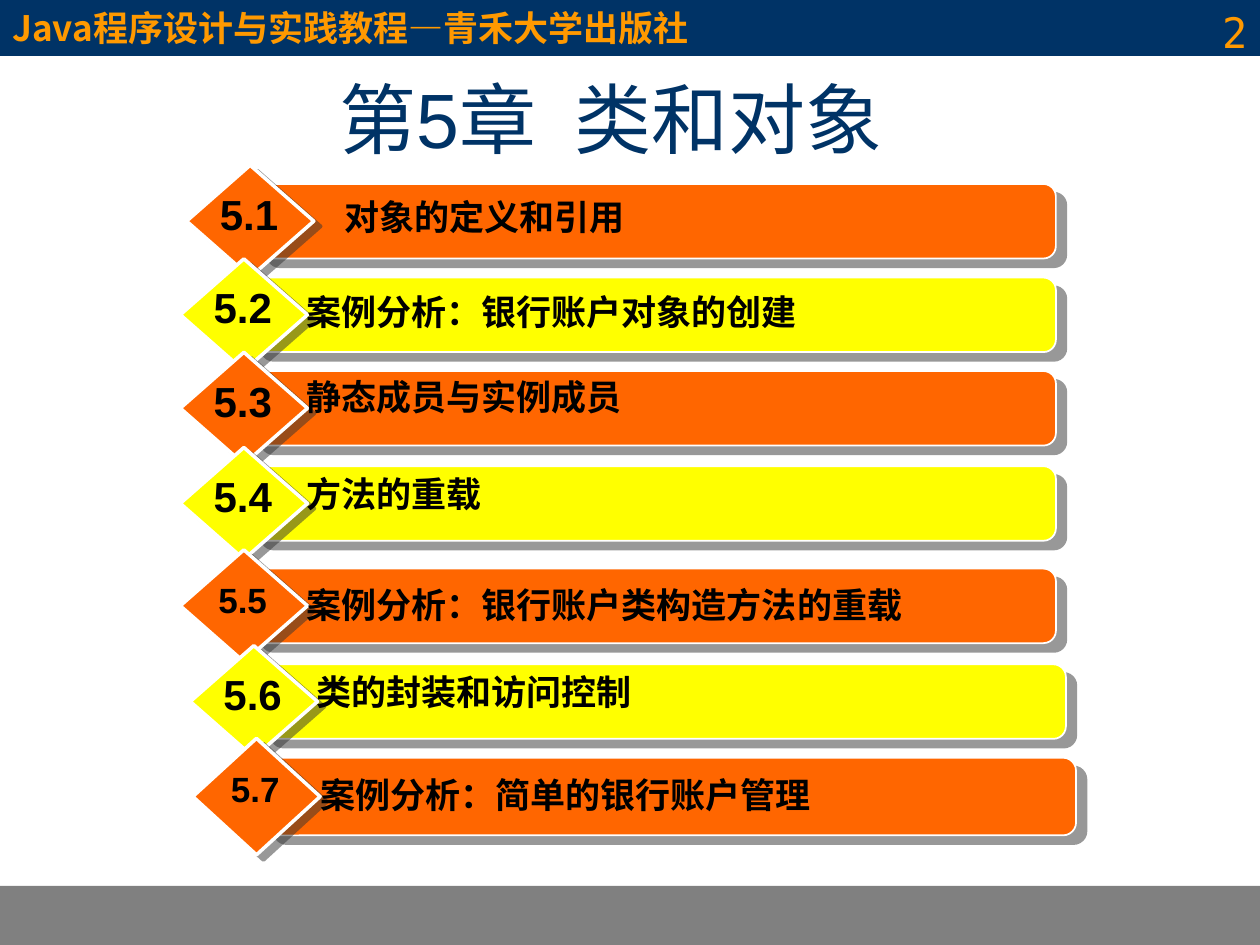
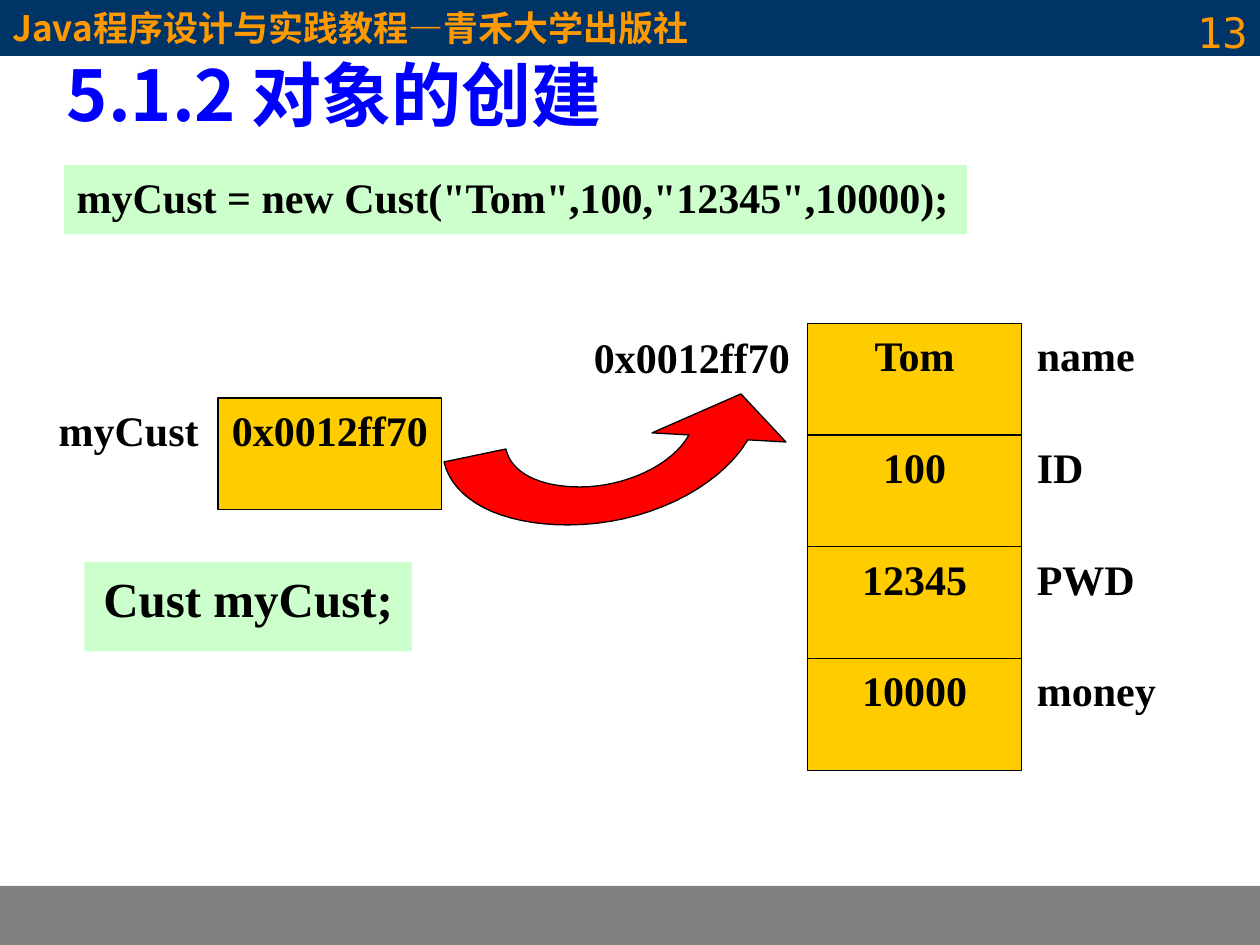
import pptx
import pptx.util
import pptx.dml.color
import pptx.enum.shapes
import pptx.enum.text
import lxml.etree

Pt = pptx.util.Pt
RGBColor = pptx.dml.color.RGBColor
SHAPE = pptx.enum.shapes.MSO_SHAPE
ALIGN = pptx.enum.text.PP_ALIGN
ANCHOR = pptx.enum.text.MSO_ANCHOR
DRAWING_NS = "http://schemas.openxmlformats.org/drawingml/2006/main"

NAVY = RGBColor(0x00, 0x33, 0x66)
GRAY = RGBColor(0x80, 0x80, 0x80)
AMBER = RGBColor(0xFF, 0x99, 0x00)
ORANGE = RGBColor(0xFF, 0x66, 0x00)
YELLOW = RGBColor(0xFF, 0xFF, 0x00)
GOLD = RGBColor(0xFF, 0xCC, 0x00)
MINT = RGBColor(0xCC, 0xFF, 0xCC)
RED = RGBColor(0xFF, 0x00, 0x00)
BLUE = RGBColor(0x00, 0x00, 0xFF)
BLACK = RGBColor(0x00, 0x00, 0x00)
WHITE = RGBColor(0xFF, 0xFF, 0xFF)

SANS = "Arial"
CJK = "Noto Sans CJK SC"
SERIF = "Times New Roman"
MONO = "DejaVu Sans Mono"

BOOK = "Java程序设计与实践教程—青禾大学出版社"
CHAPTER_TITLE = ["第5章", " ", "类和对象"]
SECTION_TITLE = ["5.1.2 对象的创建"]

# number, label, number size, left, top, bar right, bar height, label left, label drop
SECTIONS = [
    ("5.1", "对象的定义和引用", 24, 106.6, 105.1, 603.4, 42.6, 196.6, 2.9),
    ("5.2", "案例分析：银行账户对象的创建", 24, 103, 158.6, 603.4, 42.6, 175, 3.6),
    ("5.3", "静态成员与实例成员", 24, 103, 212, 603.4, 42.6, 175, -1),
    ("5.4", "方法的重载", 24, 103, 266.4, 603.4, 42.6, 175, 0),
    ("5.5", "案例分析：银行账户类构造方法的重载", 20, 103, 324.9, 603.4, 42.6, 175, 5),
    ("5.6", "类的封装和访问控制", 24, 108.7, 379.6, 609.1, 42.6, 180.7, 0),
    ("5.7", "案例分析：简单的银行账户管理", 20, 110.2, 433, 614.9, 44.4, 182.9, 5.5),
]

FIELDS = [("Tom", "name"), ("100", "ID"), ("12345", "PWD"), ("10000", "money")]
ADDRESS = "0x0012ff70"
STATEMENTS = [
    ("Cust myCust;", 28, ALIGN.CENTER, (48.2, 321.1, 187.2, 51.1)),
    ('myCust = new Cust("Tom",100,"12345",10000);', 24, ALIGN.LEFT, (36.7, 94.3, 515.9, 39.6)),
]
CELL_HEIGHT = 63.9

ARROW_INNER = [
    [(393.7, 248.6), (384, 266), (357, 278.3), (331.4, 278.3)],
    [(331.4, 278.3), (308, 278.3), (292, 270), (289.1, 256.6)],
]
ARROW_OUTER = [
    [(253.7, 264), (259, 286), (286, 300), (324.6, 300)],
    [(324.6, 300), (368, 300), (410, 280), (427.4, 251.4)],
]
ARROW_HEAD = [(449.1, 252.6), (423.4, 225.1), (372.6, 247.4)]


def write(shape, runs, size, font, color=BLACK, bold=True, align=ALIGN.LEFT,
          anchor=ANCHOR.TOP, left=7.2, top=3.6):
    tf = shape.text_frame
    tf.word_wrap = True
    tf.auto_size = pptx.enum.text.MSO_AUTO_SIZE.NONE
    tf.vertical_anchor = anchor
    tf.margin_left, tf.margin_right = Pt(left), Pt(7.2)
    tf.margin_top, tf.margin_bottom = Pt(top), Pt(3.6)
    p = tf.paragraphs[0]
    p.alignment = align
    for text in runs:
        r = p.add_run()
        r.text = text
        r.font.size, r.font.name, r.font.bold = Pt(size), font, bold
        r.font.color.rgb = color
        ea = lxml.etree.SubElement(r.font.fill._xPr, f"{{{DRAWING_NS}}}ea")
        ea.set("typeface", CJK)
    return p


def paint(shape, fill, line=None, width=0.75):
    shape.shadow.inherit = False
    shape.fill.solid()
    shape.fill.fore_color.rgb = fill
    if line is None:
        shape.line.fill.background()
    else:
        shape.line.color.rgb = line
        shape.line.width = Pt(width)


def add_shape(shapes, kind, box, fill, line=None, width=0.75):
    sp = shapes.add_shape(kind, *map(Pt, box))
    paint(sp, fill, line, width)
    return sp


def add_text(shapes, box, text, size, font, **style):
    sp = shapes.add_textbox(*map(Pt, box))
    write(sp, [text], size, font, **style)


def add_box(shapes, box, text, fill, line=None, size=24, align=ALIGN.CENTER):
    sp = add_shape(shapes, SHAPE.RECTANGLE, box, fill, line)
    write(sp, [text], size, SERIF, align=align)


def cast_shadow(shape, distance, degrees):
    effects = shape.element.spPr.find(f"{{{DRAWING_NS}}}effectLst")
    effects.append(lxml.etree.fromstring(
        f'<a:outerShdw xmlns:a="{DRAWING_NS}" blurRad="0" dist="{Pt(distance)}" '
        f'dir="{degrees * 60000}" algn="ctr" rotWithShape="0">'
        '<a:srgbClr val="333333"><a:alpha val="50000"/></a:srgbClr></a:outerShdw>'))


def add_bands(layout, s):
    for ph in list(layout.placeholders):
        if ph.placeholder_format.type != pptx.enum.shapes.PP_PLACEHOLDER.TITLE:
            ph.element.getparent().remove(ph.element)
    footer = add_shape(s.shapes, SHAPE.RECTANGLE, (0, 506.2, 720, 33.8), GRAY)
    header = add_shape(s.shapes, SHAPE.RECTANGLE, (0, 0, 720, 31.7), NAVY, NAVY)
    write(header, [BOOK], 20, CJK, AMBER, anchor=ANCHOR.MIDDLE)
    for band in (footer, header):
        layout.shapes.element.append(band.element)


def set_title(s, box, runs, size, font, color, **style):
    title = s.shapes.title
    title.left, title.top, title.width, title.height = map(Pt, box)
    return write(title, runs, size, font, color, **style)


def add_page_number(s, number):
    add_text(s.shapes, (552.2, 0, 167.8, 37.4), number, 24, MONO,
             color=AMBER, bold=False, align=ALIGN.RIGHT)


def add_section(s, index, section):
    number, label, size, left, top, right, height, label_left, drop = section
    color = YELLOW if index % 2 else ORANGE
    shapes = s.shapes.add_group_shape().shapes
    bar_left = left + 40.3
    bar = add_shape(shapes, SHAPE.ROUNDED_RECTANGLE,
                    (bar_left, top, right - bar_left, height), color, WHITE, 1)
    cast_shadow(bar, 7.8, 40)
    diamond = add_shape(shapes, SHAPE.DIAMOND,
                        (left, top - height / 4, 72.7, height * 1.5), color, WHITE, 2)
    cast_shadow(diamond, 5, 37)
    add_text(shapes, (label_left, top + drop, 400, 31.7), label, 20, SANS, left=0)
    number_height = size * 1.5
    add_text(shapes, (left + 8, top + 17 - number_height / 2, 55.4, number_height),
             number, size, SANS, align=ALIGN.CENTER)


def bezier(points, steps=16):
    a, b, c, d = points
    for i in range(1, steps + 1):
        t = i / steps
        u = 1 - t
        yield tuple(u**3 * a[k] + 3 * u * u * t * b[k] + 3 * u * t * t * c[k] + t**3 * d[k]
                    for k in (0, 1))


def add_arrow(s):
    inner = [point for curve in ARROW_INNER for point in bezier(curve)]
    outer = [point for curve in ARROW_OUTER for point in bezier(curve)]
    outline = inner + [ARROW_OUTER[0][0]] + outer + ARROW_HEAD
    start = ARROW_INNER[0][0]
    builder = s.shapes.build_freeform(Pt(start[0]), Pt(start[1]))
    builder.add_line_segments([(Pt(x), Pt(y)) for x, y in outline], close=True)
    paint(builder.convert_to_shape(), RED, BLACK)


def build_contents(s):
    p = set_title(s, (25.2, 31.7, 648, 70.6), CHAPTER_TITLE, 44, SANS, NAVY,
                  bold=False, align=ALIGN.CENTER, anchor=ANCHOR.MIDDLE)
    p.runs[1].font.fill._xPr.set("spc", "1200")
    for index, section in enumerate(SECTIONS):
        add_section(s, index, section)
    add_page_number(s, "2")


def build_creation(s):
    set_title(s, (31, 25.9, 612, 54), SECTION_TITLE, 40, CJK, BLUE)
    for text, size, align, box in STATEMENTS:
        add_box(s.shapes, box, text, MINT, size=size, align=align)
    add_box(s.shapes, (124.6, 227.5, 127.8, CELL_HEIGHT), ADDRESS, GOLD, BLACK)
    add_box(s.shapes, (23, 227.5, 101, CELL_HEIGHT), "myCust", WHITE)
    add_arrow(s)
    shapes = s.shapes.add_group_shape().shapes
    for i, (value, name) in enumerate(FIELDS):
        top = 184.7 + i * CELL_HEIGHT
        add_box(shapes, (461.5, top, 122.4, CELL_HEIGHT), value, GOLD, BLACK)
        add_box(shapes, (585.4, top, 103.7, CELL_HEIGHT), name, WHITE, align=ALIGN.LEFT)
    add_text(shapes, (337.7, 189.4, 122.4, 41.8), ADDRESS, 24, SERIF,
             align=ALIGN.CENTER, left=0, top=0)
    add_page_number(s, "13")


def main():
    prs = pptx.Presentation()
    prs.slide_width, prs.slide_height = Pt(720), Pt(540)
    layout = prs.slide_layouts.get_by_name("Title Only")
    contents, creation = [prs.slides.add_slide(layout) for _ in range(2)]
    add_bands(layout, contents)
    build_contents(contents)
    build_creation(creation)
    prs.save("out.pptx")


if __name__ == "__main__":
    main()
